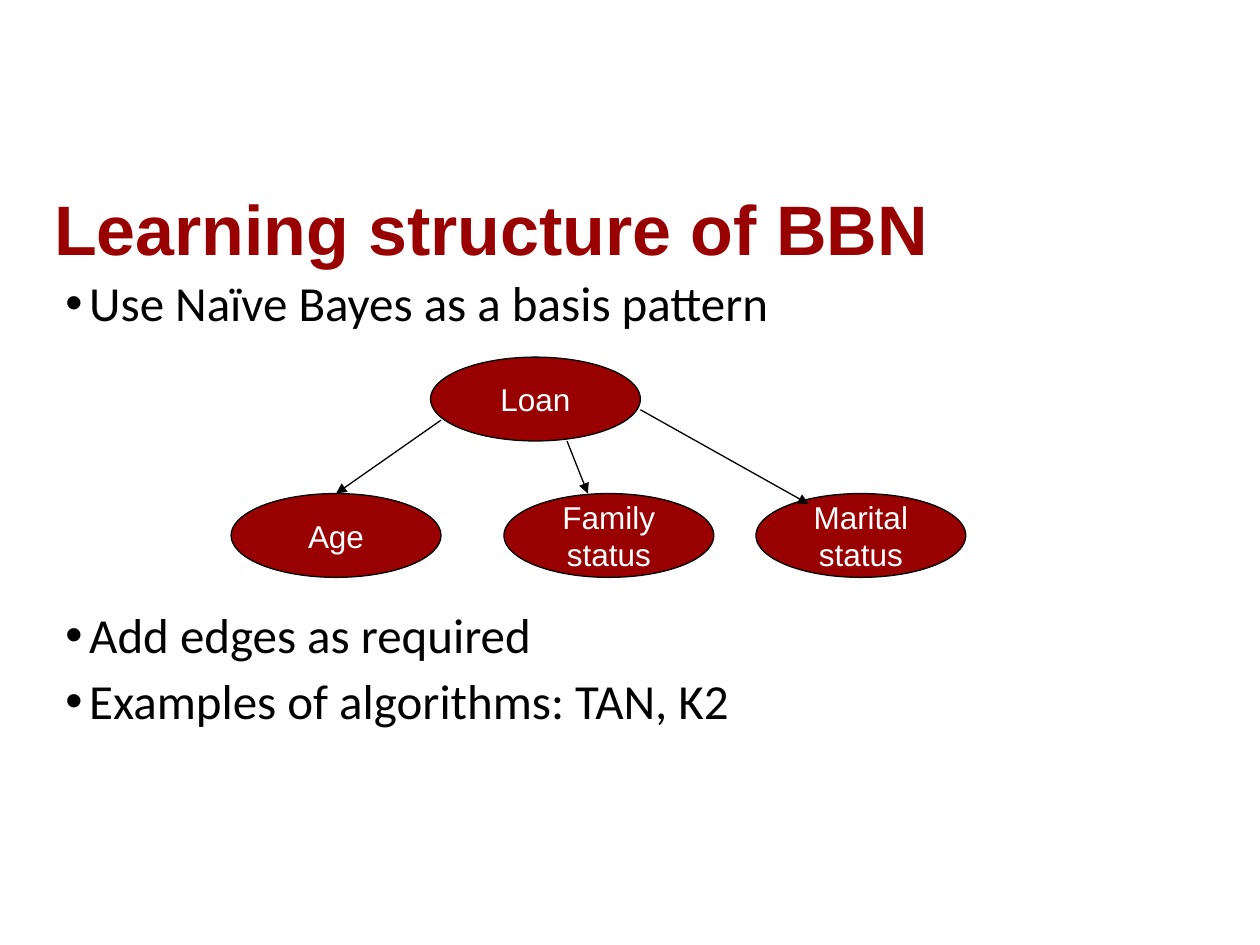
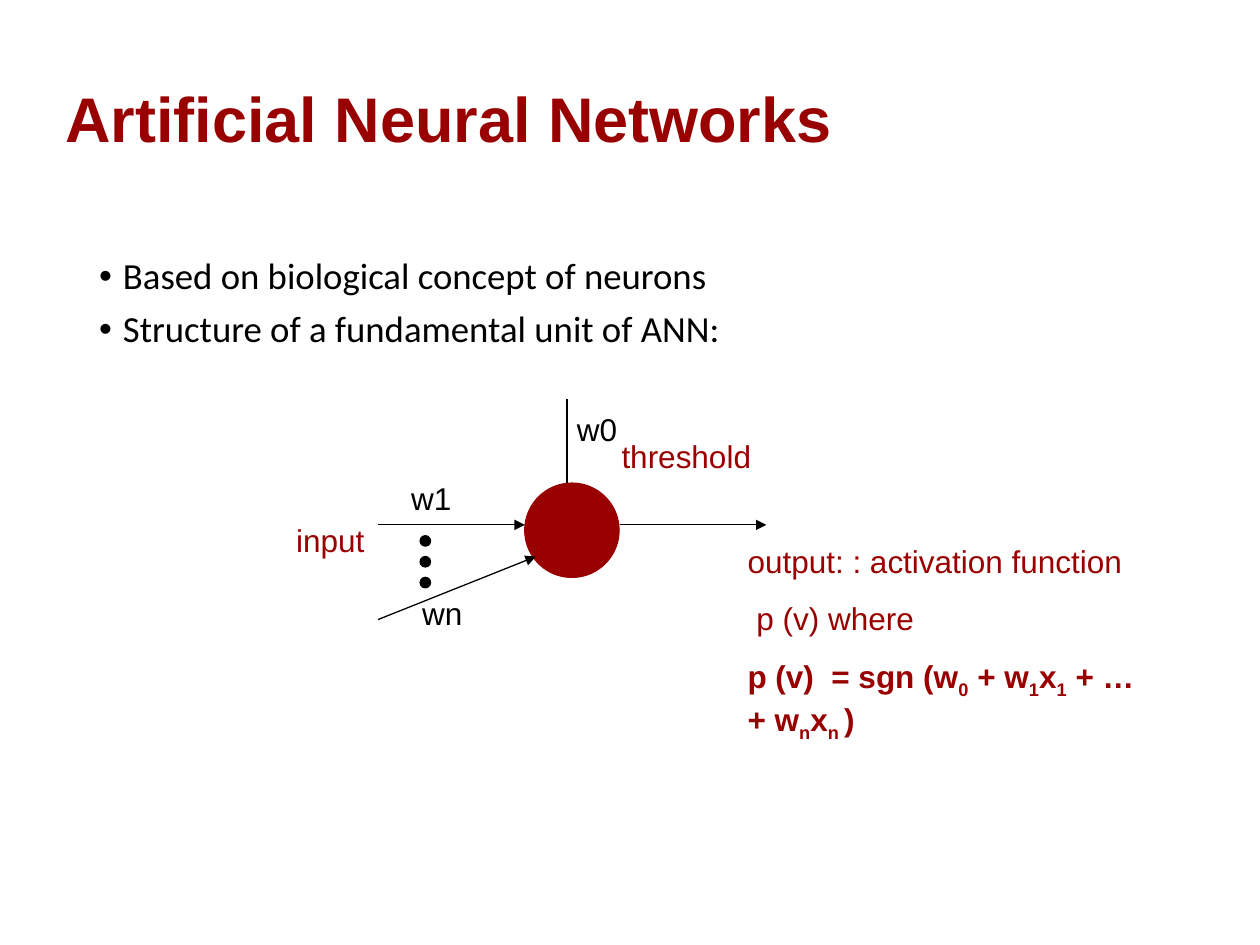
"""Builds two slides on Bayesian belief networks and neural networks."""
from typing import NamedTuple, Optional

from lxml import etree
from pptx import Presentation
from pptx import util as u
from pptx.dml.color import RGBColor
from pptx.enum import shapes, text
from pptx.oxml import ns

RED = RGBColor(0x99, 0, 0)
BLACK = RGBColor(0, 0, 0)
WHITE = RGBColor(255, 255, 255)
SANS, BODY = "Arial", "Calibri"
THIN = u.Pt(0.75)
NODE_W, NODE_H = 4.23, 1.69
ROW = 9.95
DOT, STEP = 0.21, 0.42


class Box(NamedTuple):
    """Place and size in centimetres."""
    left: float
    top: float
    width: float
    height: float


class Node(NamedTuple):
    """Oval with a caption."""
    words: str
    left: float
    top: float


class Line(NamedTuple):
    """Straight line in centimetres, with or without an arrowhead."""
    x1: float
    y1: float
    x2: float
    y2: float
    arrow: bool = True


class Item(NamedTuple):
    """Bulleted line with its space before in points."""
    words: str
    gap: float = 0


class Note(NamedTuple):
    """Diagram label."""
    words: str
    box: Box
    color: RGBColor
    wrap: bool


NODES = [
    Node("Loan", 8.68, 7.2),
    Node("Age", 4.66, ROW),
    Node("Family\nstatus", 10.16, ROW),
    Node("Marital\nstatus", 15.24, ROW),
]
EDGES = [Line(11.43, 8.89, 11.85, ROW), Line(12.91, 8.26, 16.3, 10.16)]
TO_AGE = Line(8.89, 8.47, 6.77, ROW)
WIRES = [
    Line(7.62, 10.58, 10.58, 10.58),
    Line(7.62, 12.49, 10.8, 11.22),
    Line(11.43, 8.04, 11.43, 9.74, False),
    Line(12.49, 10.58, 15.45, 10.58),
]
NOTES = [
    Note("w0", Box(11.38, 8.15, 1.32, 1.02), BLACK, False),
    Note("w1", Box(8.04, 9.53, 1.32, 1.02), BLACK, False),
    Note("wn", Box(8.26, 11.86, 1.32, 1.02), BLACK, False),
    Note("threshold", Box(12.28, 8.68, 3.81, 1.02), RED, True),
    Note("input", Box(5.72, 10.37, 3.81, 1.02), RED, True),
]
OUTPUT = Note("output: : activation function\np (v) where", Box(14.82, 10.8, 8.68, 4.32), RED, True)
FORMULA = "p (v)  = sgn (w_0_ + w_1_x_1_ + … + w_n_x_n _)"


def style(font, name: str, size: float, color: RGBColor, bold: bool = False) -> None:
    """Sets the look of a font."""
    font.name, font.size, font.bold = name, u.Pt(size), bold
    font.color.rgb = color


def place(box: Box) -> list:
    """Turns a box into lengths."""
    return [u.Cm(n) for n in box]


def write(slide, words: str, box: Box, wrap: bool = True):
    """Adds a text box and returns its frame."""
    frame = slide.shapes.add_textbox(*place(box)).text_frame
    frame.word_wrap = wrap
    frame.text = words
    return frame


def add_title(slide, words: str, box: Box, size: float) -> None:
    """Adds the bold red heading."""
    para = write(slide, words, box).paragraphs[0]
    style(para.runs[0].font, SANS, size, RED, True)


def add_list(slide, items: list[Item], box: Box, size: float) -> None:
    """Adds a bulleted list."""
    frame = write(slide, "\n".join(i.words for i in items), box)
    for para, item in zip(frame.paragraphs, items):
        props = para._p.get_or_add_pPr()
        props.set("marL", str(u.Cm(0.48)))
        props.set("indent", str(-u.Cm(0.48)))
        etree.SubElement(props, ns.qn("a:buFont"), typeface=SANS)
        etree.SubElement(props, ns.qn("a:buChar"), char="•")
        para.line_spacing = 0.9
        para.space_before = u.Pt(item.gap)
        style(para.runs[0].font, BODY, size, BLACK)


def add_oval(slide, box: Box, fill: RGBColor, edge: RGBColor):
    """Adds a filled oval."""
    oval = slide.shapes.add_shape(shapes.MSO_SHAPE.OVAL, *place(box))
    oval.shadow.inherit = False
    oval.fill.solid()
    oval.fill.fore_color.rgb = fill
    oval.line.color.rgb = edge
    oval.line.width = THIN
    return oval


def add_node(slide, node: Node):
    """Adds a captioned oval."""
    oval = add_oval(slide, Box(node.left, node.top, NODE_W, NODE_H), RED, BLACK)
    frame = oval.text_frame
    frame.word_wrap = False
    frame.vertical_anchor = text.MSO_ANCHOR.MIDDLE
    frame.text = node.words
    for para in frame.paragraphs:
        para.alignment = text.PP_ALIGN.CENTER
        style(para.runs[0].font, SANS, 18, WHITE)
    return oval


def add_line(slide, line: Line, end: Optional[object] = None) -> None:
    """Adds a line, joined to the top of a shape if one is given."""
    ends = [u.Cm(n) for n in line[:4]]
    link = slide.shapes.add_connector(shapes.MSO_CONNECTOR.STRAIGHT, *ends)
    link.line.color.rgb = BLACK
    link.line.width = THIN
    if line.arrow:
        etree.SubElement(link.line._get_or_add_ln(), ns.qn("a:tailEnd"), type="triangle")
    etree.SubElement(link._element.spPr, ns.qn("a:effectLst"))
    if end is not None:
        link.end_connect(end, 0)


def add_note(slide, note: Note):
    """Adds a diagram label and returns its frame."""
    frame = write(slide, note.words, note.box, note.wrap)
    for para in frame.paragraphs:
        style(para.runs[0].font, SANS, 18, note.color)
    return frame


def add_output(slide) -> None:
    """Adds the output label with its formula."""
    frame = add_note(slide, OUTPUT)
    para = frame.add_paragraph()
    for pos, part in enumerate(FORMULA.split("_")):
        run = para.add_run()
        run.text = part
        style(run.font, SANS, 18, RED, True)
        if pos % 2:
            run._r.get_or_add_rPr().set("baseline", "-25000")
    for para in frame.paragraphs[1:]:
        para.space_before = u.Pt(11.2)
    frame.paragraphs[1]._p.get_or_add_pPr().set("marL", str(u.Cm(0.18)))


def draw_bbn(slide) -> None:
    """Draws the belief network slide."""
    items = [
        Item("Use Naïve Bayes as a basis pattern"),
        Item("Add edges as required", 159),
        Item("Examples of algorithms: TAN, K2", 7.5),
    ]
    add_list(slide, items, Box(1.07, 5.51, 22.86, 12.57), 28)
    add_title(slide, "Learning structure of BBN", Box(1.07 - 0.23, 3.61, 24.56, 1.96), 40)
    ovals = [add_node(slide, node) for node in NODES]
    for edge in EDGES:
        add_line(slide, edge)
    add_line(slide, TO_AGE, ovals[1])


def draw_ann(slide) -> None:
    """Draws the neural network slide."""
    add_title(slide, "Artificial Neural Networks", Box(1.07, 1.48, 20.75, 1.78), 36)
    items = [
        Item("Based on biological concept of neurons"),
        Item("Structure of a fundamental unit of ANN:", 7.5),
    ]
    add_list(slide, items, Box(1.75, 5.08, 21.92, 12.09), 21)
    add_oval(slide, Box(10.58, 9.74, 1.9, 1.9), RED, RED)
    for wire in WIRES:
        add_line(slide, wire)
    for row in range(3):
        add_oval(slide, Box(8.47, 10.8 + row * STEP, DOT, DOT), BLACK, BLACK)
    for note in NOTES:
        add_note(slide, note)
    add_output(slide)


def main() -> None:
    """Builds and saves the deck."""
    deck = Presentation()
    deck.slide_width, deck.slide_height = u.Cm(25.4), u.Cm(19.05)
    for draw in (draw_bbn, draw_ann):
        draw(deck.slides.add_slide(deck.slide_layouts[6]))
    deck.save("out.pptx")


if __name__ == "__main__":
    main()
